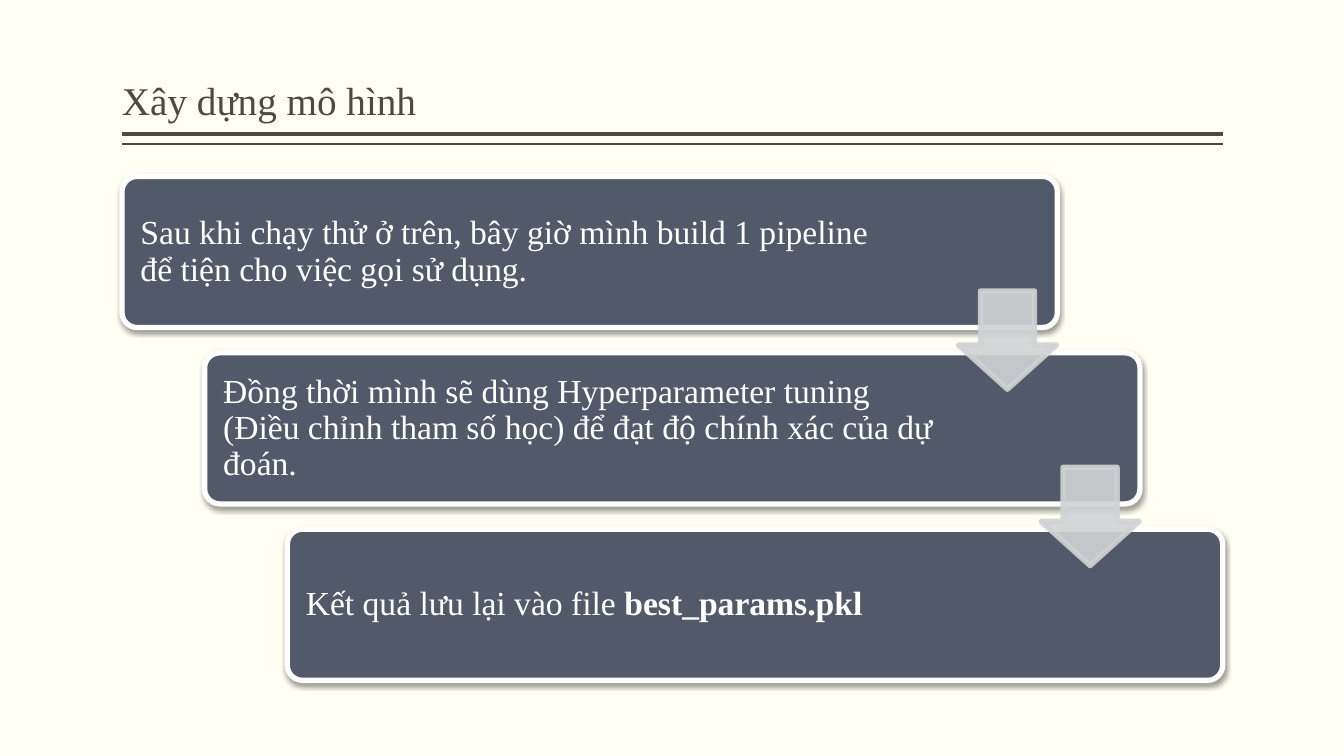
from dataclasses import dataclass

from lxml.etree import SubElement
from pptx import Presentation
from pptx.dml.color import RGBColor
from pptx.enum.shapes import MSO_CONNECTOR, MSO_SHAPE
from pptx.enum.text import MSO_ANCHOR, MSO_AUTO_SIZE, PP_ALIGN
from pptx.oxml.ns import qn
from pptx.shapes.autoshape import Shape
from pptx.slide import Slide
from pptx.text.text import TextFrame
from pptx.util import Pt

CREAM = RGBColor(0xFF, 0xFF, 0xF3)
BROWN = RGBColor(0x51, 0x48, 0x43)
SLATE = RGBColor(0x52, 0x5A, 0x6A)
SILVER = RGBColor(0xD1, 0xD2, 0xD4)
WHITE = RGBColor(0xFF, 0xFF, 0xFF)
FONT = "Times New Roman"

LEFT, CONTENT_WIDTH = 87.12, 786.24
STEP_TOP, STEP_WIDTH, STEP_HEIGHT = 126, 668.16, 108
SHIFT_X, SHIFT_Y = 59.04, 126
ARROW_SIZE, ARROW_DX, ARROW_DY = 70.2, 597.4, 81.8


@dataclass(frozen=True)
class Step:
    text: str
    right_inset: float
    bold_ending: str = ""


@dataclass(frozen=True)
class Rule:
    y: float
    weight: float


STEPS = [
    Step("Sau khi chạy thử ở trên, bây giờ mình build 1 pipeline "
         "để tiện cho việc gọi sử dụng.", 121),
    Step("Đồng thời mình sẽ dùng Hyperparameter tuning (Điều chỉnh tham số học) "
         "để đạt độ chính xác của dự đoán.", 139.7),
    Step("Kết quả lưu lại vào file ", 139.7, "best_params.pkl"),
]
RULES = [Rule(95.8, 3), Rule(102.8, 1)]


def write(frame: TextFrame, text: str, *, size: float, color: RGBColor,
          anchor: MSO_ANCHOR, insets: tuple[float, float, float, float],
          bold_ending: str = "") -> None:
    """Fill a frame with one left-aligned paragraph; insets run left, top, right, bottom."""
    frame.word_wrap = True
    frame.auto_size = MSO_AUTO_SIZE.NONE
    frame.vertical_anchor = anchor
    (frame.margin_left, frame.margin_top,
     frame.margin_right, frame.margin_bottom) = map(Pt, insets)
    paragraph = frame.paragraphs[0]
    paragraph.alignment = PP_ALIGN.LEFT
    paragraph.line_spacing = 0.9
    for part, bold in ((text, False), (bold_ending, True)):
        if part:
            run = paragraph.add_run()
            run.text = part
            run.font.name = FONT
            run.font.size = Pt(size)
            run.font.bold = bold
            run.font.color.rgb = color


def add_filled(slide: Slide, preset: MSO_SHAPE, left: float, top: float,
               width: float, height: float, *, fill: RGBColor, line: RGBColor,
               adjustments: tuple[float, ...]) -> Shape:
    shape = slide.shapes.add_shape(preset, Pt(left), Pt(top), Pt(width), Pt(height))
    shape.shadow.inherit = False
    shape.fill.solid()
    shape.fill.fore_color.rgb = fill
    shape.line.color.rgb = line
    shape.line.width = Pt(3.8)
    for index, value in enumerate(adjustments):
        shape.adjustments[index] = value
    return shape


def add_soft_shadow(shape: Shape) -> None:
    effects = shape.element.spPr.find(qn("a:effectLst"))
    shadow = SubElement(effects, qn("a:outerShdw"), blurRad=str(Pt(3.5)),
                        dist=str(Pt(2)), dir="5400000", rotWithShape="0")
    black = SubElement(shadow, qn("a:srgbClr"), val="000000")
    SubElement(black, qn("a:alpha"), val="38000")


def add_step(slide: Slide, step: Step, index: int) -> None:
    box = add_filled(slide, MSO_SHAPE.ROUNDED_RECTANGLE,
                     LEFT + index * SHIFT_X, STEP_TOP + index * SHIFT_Y,
                     STEP_WIDTH, STEP_HEIGHT,
                     fill=SLATE, line=WHITE, adjustments=(0.1,))
    add_soft_shadow(box)
    write(box.text_frame, step.text, size=24, color=WHITE, anchor=MSO_ANCHOR.MIDDLE,
          insets=(10.1, 10, step.right_inset, 10), bold_ending=step.bold_ending)


def add_arrow(slide: Slide, index: int) -> None:
    arrow = add_filled(slide, MSO_SHAPE.DOWN_ARROW,
                       LEFT + ARROW_DX + index * SHIFT_X,
                       STEP_TOP + ARROW_DY + index * SHIFT_Y,
                       ARROW_SIZE, ARROW_SIZE,
                       fill=SILVER, line=SILVER, adjustments=(0.55, 0.45))
    for color in arrow.element.spPr.iter(qn("a:srgbClr")):
        SubElement(color, qn("a:alpha"), val="90000")


def add_rule(slide: Slide, rule: Rule) -> None:
    line = slide.shapes.add_connector(MSO_CONNECTOR.STRAIGHT, Pt(LEFT + CONTENT_WIDTH),
                                      Pt(rule.y), Pt(LEFT), Pt(rule.y))
    line.line.color.rgb = BROWN
    line.line.width = Pt(rule.weight)
    SubElement(line.element.spPr, qn("a:effectLst"))


def main() -> None:
    deck = Presentation()
    deck.slide_width, deck.slide_height = Pt(960), Pt(540)
    slide = deck.slides.add_slide(deck.slide_layouts[5])
    slide.background.fill.solid()
    slide.background.fill.fore_color.rgb = CREAM

    title = slide.shapes.title
    title.left, title.top = Pt(LEFT), Pt(5.8)
    title.width, title.height = Pt(CONTENT_WIDTH), Pt(86.4)
    write(title.text_frame, "Xây dựng mô hình", size=28, color=BROWN,
          anchor=MSO_ANCHOR.BOTTOM, insets=(0, 3.6, 0, 3.6))

    for rule in RULES:
        add_rule(slide, rule)
    for index, step in enumerate(STEPS):
        add_step(slide, step, index)
    for index in range(len(STEPS) - 1):
        add_arrow(slide, index)

    deck.save("out.pptx")


if __name__ == "__main__":
    main()
